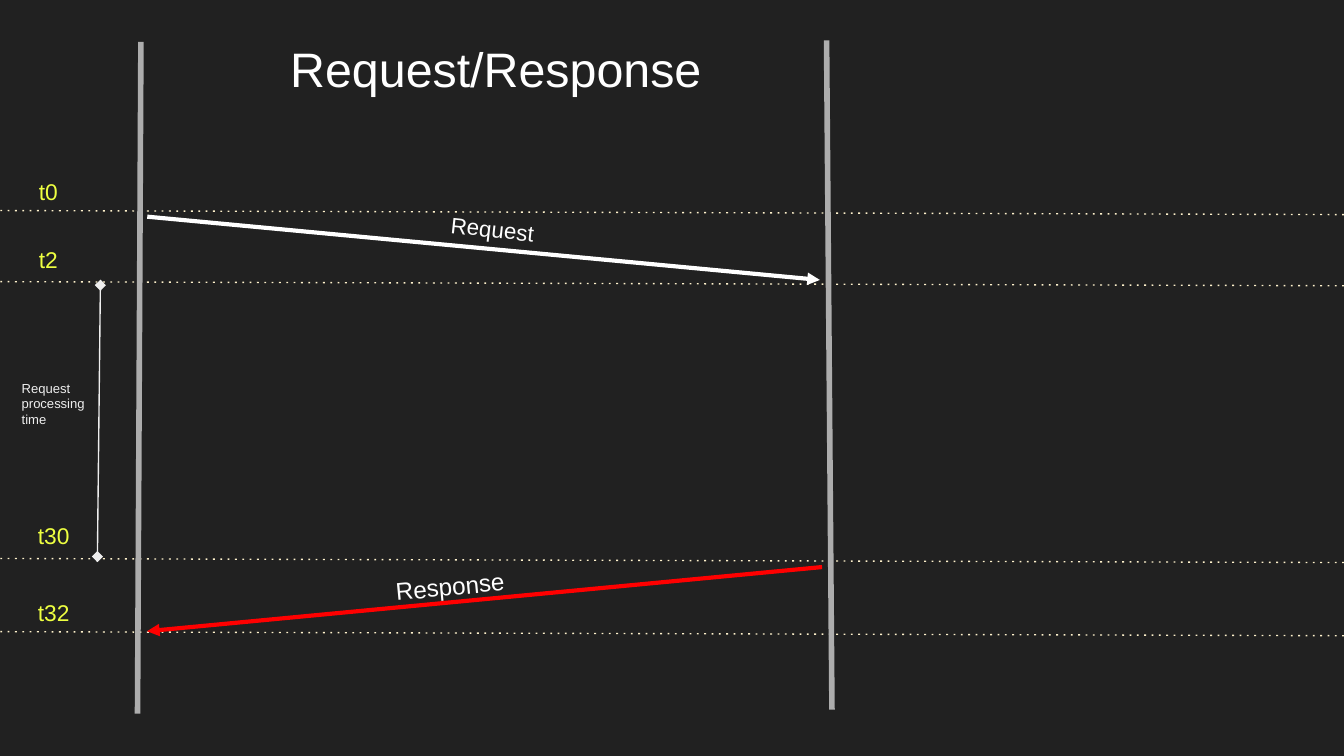
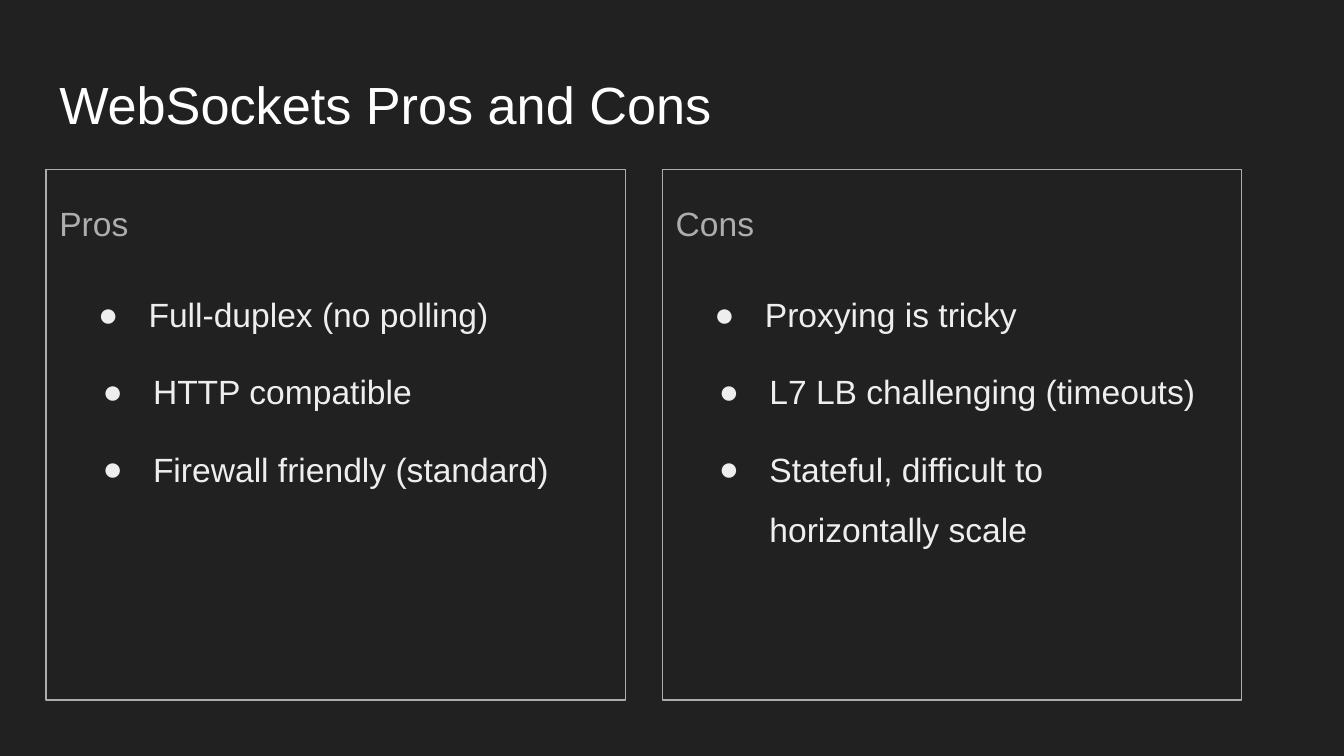
from lxml import etree
from pptx import Presentation
from pptx.dml.color import RGBColor
from pptx.enum.shapes import MSO_CONNECTOR, MSO_SHAPE
from pptx.enum.text import MSO_ANCHOR, PP_ALIGN
from pptx.oxml.ns import qn
from pptx.util import Pt

STRAIGHT = MSO_CONNECTOR.STRAIGHT
RECT = MSO_SHAPE.RECTANGLE
TOP = MSO_ANCHOR.TOP
LEFT = PP_ALIGN.LEFT

BACKGROUND = RGBColor(0x21, 0x21, 0x21)
WHITE = RGBColor(0xFF, 0xFF, 0xFF)
PALE = RGBColor(0xEE, 0xEE, 0xEE)
GREY = RGBColor(0xAD, 0xAD, 0xAD)
CREAM = RGBColor(0xFF, 0xF2, 0xCC)
YELLOW = RGBColor(0xEE, 0xFF, 0x41)
RED = RGBColor(0xFF, 0, 0)

FONT = "Arial"
WIDTH, HEIGHT = 720, 405
INSET = 7.2

# Content of the sequence diagram
DIAGRAM_TITLE = "Request/Response"
# label, label left, top, width, height of its dotted line at the left edge
TIMES = [
    ("t0", 13.7, 88.2, 29.5, 112.8),
    ("t2", 13.7, 124.6, 29.5, 150.9),
    ("t30", 13.2, 272.5, 40.3, 299.2),
    ("t32", 13.2, 313.5, 40.3, 338.4),
]
TIME_DROP = 2.2
LIFELINES = [(442.8, 21.6, 445.7, 380.2), (75.5, 22.5, 73.7, 382.3)]
# text, size, box, rotation, arrow ends, arrow colour
MESSAGES = [
    ("Request", 12, (234.4, 109.4, 81.4, 28.1), 6.3, (78.9, 116.1, 439.2, 150), WHITE),
    ("Response", 13, (204.8, 298.4, 81.4, 30.2), -5.5, (440.4, 303.8, 78.8, 338.2), RED),
]
PROCESSING = ["Request processing", "time"]
PROCESSING_SPAN = (53.8, 152.8, 52.2, 298.2)

# Content of the comparison
COMPARE_TITLE = "WebSockets Pros and Cons"
# heading, then each item with its box width and height
COLUMNS = [
    ("Pros", [
        ("Full-duplex (no polling)", 281.5, 57.6),
        ("HTTP compatible", 281.5, 57.6),
        ("Firewall friendly (standard)", 281.5, 57.6),
    ]),
    ("Cons", [
        ("Proxying is tricky", 281.5, 57.6),
        ("L7 LB challenging (timeouts)", 326.2, 57.6),
        ("Stateful, difficult to horizontally scale", 281.5, 82.1),
    ]),
]
COLUMN_LEFT, COLUMN_TOP, COLUMN_W, COLUMN_H, COLUMN_STEP = 24.7, 90.7, 310.3, 284.4, 330.2
ITEM_DX = [11.8, 14.2, 14.2]
ITEM_TOP, ITEM_STEP = 139.7, 41.3


def new_slide(prs):
    slide = prs.slides.add_slide(prs.slide_layouts[6])
    fill = slide.background.fill
    fill.solid()
    fill.fore_color.rgb = BACKGROUND
    return slide


def write(sp, lines, size, color, spacing=None):
    tf = sp.text_frame
    tf.word_wrap = True
    tf.vertical_anchor = TOP
    tf.margin_left = tf.margin_right = Pt(INSET)
    tf.margin_top = tf.margin_bottom = Pt(INSET)
    tf.text = "\n".join(lines)
    for p in tf.paragraphs:
        p.alignment = LEFT
        p.line_spacing = spacing
        for r in p.runs:
            r.font.name = FONT
            r.font.size = Pt(size)
            r.font.color.rgb = color


def add_text(slide, box, lines, size, color, spacing=None):
    sp = slide.shapes.add_textbox(*map(Pt, box))
    write(sp, lines, size, color, spacing)
    return sp


def add_title(slide, box, text, size):
    add_text(slide, box, [text], size, WHITE, 0.9)


def add_line(slide, ends, color, width, dotted=False, head=None, tail=None):
    line = slide.shapes.add_connector(STRAIGHT, *map(Pt, ends))
    line.line.color.rgb = color
    line.line.width = Pt(width)
    ln = line.line._get_or_add_ln()
    if dotted:
        dash = etree.SubElement(ln, qn("a:custDash"))
        etree.SubElement(dash, qn("a:ds"), d="133000", sp="400000")
    for tag, kind in (("a:headEnd", head), ("a:tailEnd", tail)):
        if kind:
            etree.SubElement(ln, qn(tag)).set("type", kind)
    etree.SubElement(line._element.spPr, qn("a:effectLst"))


def add_bullet(sp, color):
    pPr = sp.text_frame.paragraphs[0]._p.get_or_add_pPr()
    pPr.set("marL", str(Pt(36)))
    pPr.set("indent", str(Pt(-27)))
    clr = etree.SubElement(pPr, qn("a:buClr"))
    etree.SubElement(clr, qn("a:srgbClr")).set("val", str(color))
    etree.SubElement(pPr, qn("a:buFont")).set("typeface", FONT)
    etree.SubElement(pPr, qn("a:buChar")).set("char", "●")


def build_diagram(prs):
    slide = new_slide(prs)

    # Time marks and lifelines
    for label, x, y, w, mark in TIMES:
        add_line(slide, (WIDTH, mark + TIME_DROP, 0, mark), CREAM, 0.75, dotted=True)
        add_text(slide, (x, y, w, 25.2), [label], 12.2, YELLOW)
    for ends in LIFELINES:
        add_line(slide, ends, GREY, 3)

    # Messages
    for text, size, box, angle, ends, color in MESSAGES:
        add_line(slide, ends, color, 2.25, tail="triangle")
        add_text(slide, box, [text], size, WHITE).rotation = angle

    # Title and processing time
    add_title(slide, (148.4, 17.3, 244.8, 45.4), DIAGRAM_TITLE, 25.9)
    add_line(slide, PROCESSING_SPAN, PALE, 0.75, head="diamond", tail="diamond")
    add_text(slide, (4.6, 196.5, 57.6, 39.6), PROCESSING, 7, PALE)


def build_comparison(prs):
    slide = new_slide(prs)
    add_title(slide, (COLUMN_LEFT, 35.3, 671, 45.4), COMPARE_TITLE, 28)

    for i, (heading, items) in enumerate(COLUMNS):
        # Framed column with its heading
        left = COLUMN_LEFT + i * COLUMN_STEP
        sp = slide.shapes.add_shape(
            RECT, Pt(left), Pt(COLUMN_TOP), Pt(COLUMN_W), Pt(COLUMN_H))
        sp.shadow.inherit = False
        sp.fill.background()
        sp.line.color.rgb = GREY
        sp.line.width = Pt(0.75)
        write(sp, [heading], 18, GREY, 1.5)

        # Bulleted items
        for j, (text, w, h) in enumerate(items):
            box = (left + ITEM_DX[j], ITEM_TOP + j * ITEM_STEP, w, h)
            add_bullet(add_text(slide, box, [text], 18, PALE, 1.5), PALE)


def main():
    prs = Presentation()
    prs.slide_width, prs.slide_height = Pt(WIDTH), Pt(HEIGHT)
    build_diagram(prs)
    build_comparison(prs)
    prs.save("out.pptx")


if __name__ == "__main__":
    main()
